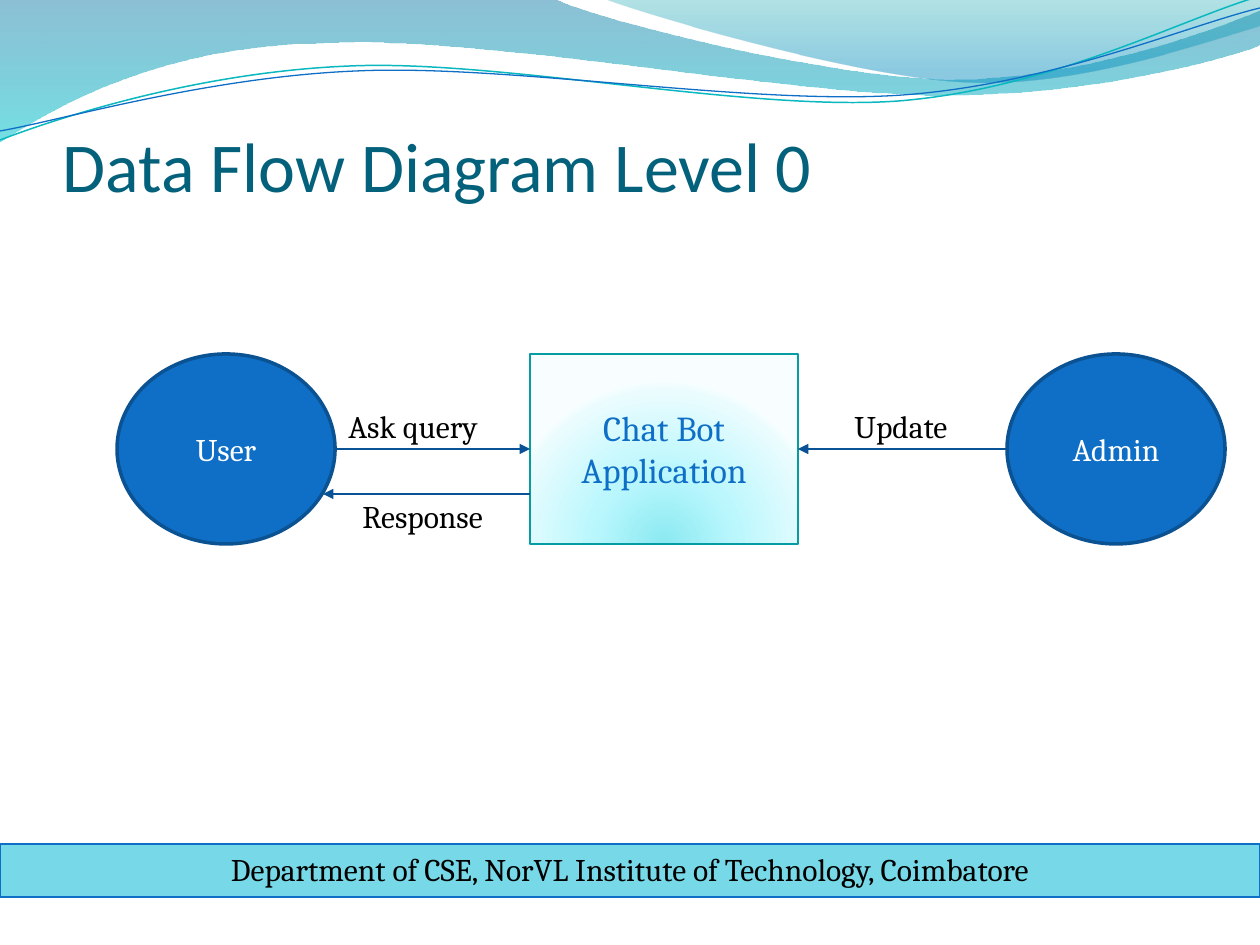
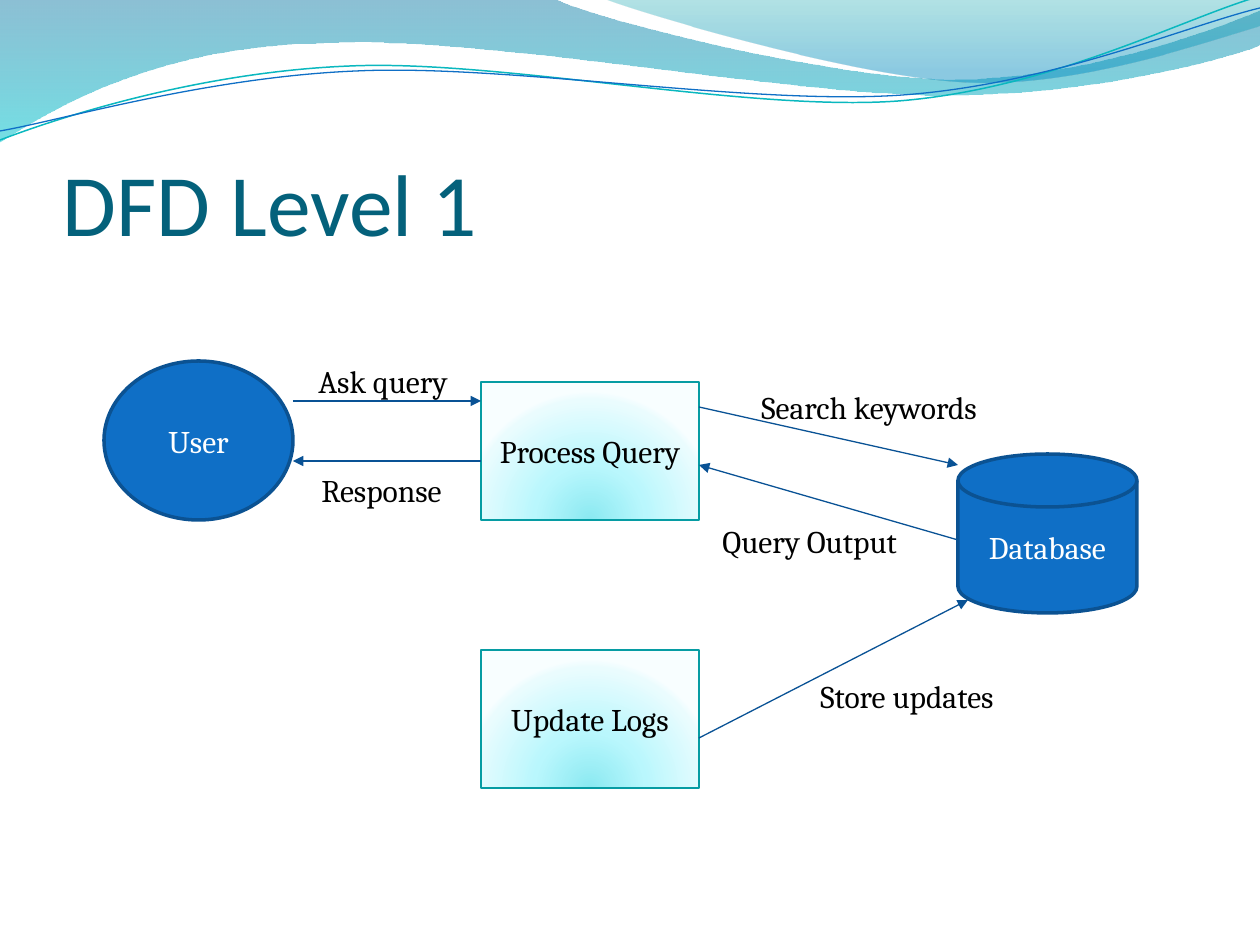
"""Build two data flow diagram slides for a chat bot."""
from lxml.etree import SubElement
from pptx import Presentation
from pptx.dml.color import RGBColor
from pptx.enum.shapes import MSO_CONNECTOR, MSO_SHAPE
from pptx.enum.text import MSO_ANCHOR, MSO_AUTO_SIZE, PP_ALIGN
from pptx.oxml.ns import qn
from pptx.util import Emu, Pt

SCALE = 914400 / 126
WIDE, HIGH = 1260, 945
HEAD, BODY = "Calibri", "Cambria"
BLUE, NAVY, TEAL, ARROW = "0F6FC6", "0B5292", "069CA3", "095295"
TITLE, BAND, BLACK, WHITE = "04617B", "77D9E8", "000000", "FFFFFF"

GLOW = [(0, "8BE9F1", 100), (43, "B9F7FD", 100),
        (93, "EAFCFE", 100), (100, "F8FEFF", 100)]
FOCUS = {"l": "50000", "t": "130000", "r": "50000", "b": "-30000"}

FILLS = [
    ([(0, 0), (554, -1), (600, 21, 837, 79, 955, 79),
      (1075, 79, 1207, 33, 1260, 11), (1261, 45),
      (1239, 55, 1096, 96, 940, 95), (784, 95, 481, 35, 324, 43),
      (163, 45, 58, 105, -1, 142)],
     [(0, "0074A1", 45), (100, "00C6CF", 55)]),
    ([(604, -1), (641, 14, 859, 78, 969, 82),
      (1079, 87, 1211, 40, 1260, 26), (1260, 0)],
     [(0, "00A1A9", 30), (80, "008BBF", 45)]),
]
LINES = [
    ([(0, 140), (60, 117, 199, 72, 349, 66), (498, 59, 747, 112, 898, 101),
      (1050, 89, 1182, 19, 1257, -3)], "0AB8BF", 0.85),
    ([(0, 131), (59, 121, 207, 77, 357, 71), (508, 64, 752, 106, 903, 95),
      (1053, 84, 1186, 26, 1260, 8)], BLUE, 0.75),
]

KINDS = {
    "actor": (MSO_SHAPE.OVAL, BLUE, NAVY, 2),
    "store": (MSO_SHAPE.FLOWCHART_MAGNETIC_DISK, BLUE, NAVY, 2),
    "task": (MSO_SHAPE.RECTANGLE, GLOW, TEAL, 0.75),
    "band": (MSO_SHAPE.RECTANGLE, BAND, BLUE, 0.75),
}

SLIDES = [
    {
        "title": ("Data Flow Diagram Level 0", 48, 40),
        "footer": "Department of CSE, NorVL Institute of Technology, Coimbatore",
        "nodes": [
            ("actor", "User", (117, 354, 218, 190), 18, WHITE),
            ("task", "Chat Bot Application", (530, 354, 268, 190), 20, BLUE),
            ("actor", "Admin", (1007, 354, 218, 190), 18, WHITE),
        ],
        "flows": [
            ((335, 449), (530, 449), ("Chat Bot Application", 1)),
            ((530, 494), (323, 494), None),
            ((1007, 449), (798, 449), ("Chat Bot Application", 3)),
        ],
        "labels": [
            ("Ask query", 336, 401, 166),
            ("Response", 350, 491, 159),
            ("Update", 842, 401, 136),
        ],
    },
    {
        "title": ("DFD Level 1", 96, 50),
        "footer": None,
        "nodes": [
            ("actor", "User", (104, 361, 189, 159), 18, WHITE),
            ("task", "Process Query", (481, 382, 218, 138), 18, BLACK),
            ("store", "Database", (958, 454, 179, 159), 18, WHITE),
            ("task", "Update Logs", (481, 650, 218, 138), 18, BLACK),
        ],
        "flows": [
            ((293, 401), (481, 401), None),
            ((481, 461), (293, 461), None),
            ((699, 407), (958, 465), None),
            ((958, 540), (699, 465), None),
            ((699, 738), (968, 600), None),
        ],
        "labels": [
            ("Ask query", 306, 356, 175),
            ("Response", 309, 465, 162),
            ("Search keywords", 749, 382, 258),
            ("Query Output", 710, 516, 258),
            ("Store updates", 808, 671, 218),
        ],
    },
]


def px(*nums):
    return [Emu(round(num * SCALE)) for num in nums]


def rgb(code):
    return RGBColor.from_string(code)


def add(node, tag, **attrs):
    return SubElement(node, qn(tag), attrs)


def blend(shape, stops, focus=None):
    shape.fill.solid()
    props = shape._element.spPr
    old = props.find(qn("a:solidFill"))
    grad = add(props, "a:gradFill", rotWithShape="1")
    props.replace(old, grad)
    group = add(grad, "a:gsLst")
    for pos, code, alpha in stops:
        color = add(add(group, "a:gs", pos=str(pos * 1000)), "a:srgbClr", val=code)
        if alpha < 100:
            add(color, "a:alpha", val=str(alpha * 1000))
    if focus:
        add(add(grad, "a:path", path="circle"), "a:fillToRect", **focus)
    else:
        add(grad, "a:lin", ang="5400000", scaled="1")


def curve(slide, steps, close):
    dots = [px(*step[at:at + 2]) for step in steps for at in range(0, len(step), 2)]
    pen = slide.shapes.build_freeform(*dots[0], scale=1.0)
    pen.add_line_segments(dots[1:], close=close)
    shape = pen.convert_to_shape()
    shape.shadow.inherit = False
    marks = iter(list(shape._element.iter(qn("a:lnTo"))))
    for step in steps[1:]:
        bend = next(marks)
        if len(step) == 6:
            bend.tag = qn("a:cubicBezTo")
            for mark in (next(marks), next(marks)):
                bend.append(mark[0])
                mark.getparent().remove(mark)
    return shape


def wave(slide):
    for steps, stops in FILLS:
        shape = curve(slide, steps, True)
        blend(shape, stops)
        shape.line.fill.background()
    for steps, code, width in LINES:
        shape = curve(slide, steps, False)
        shape.fill.background()
        edge(shape, code, width)


def edge(shape, code, width):
    shape.line.color.rgb = rgb(code)
    shape.line.width = Pt(width)


def write(shape, text, size, code, face=BODY, align=PP_ALIGN.LEFT, anchor=MSO_ANCHOR.TOP):
    frame = shape.text_frame
    frame.word_wrap = True
    frame.vertical_anchor = anchor
    para = frame.paragraphs[0]
    para.text = text
    para.alignment = align
    para.font.name = face
    para.font.size = Pt(size)
    para.font.color.rgb = rgb(code)
    return frame


def block(slide, kind, text, place, size, code, anchor=MSO_ANCHOR.MIDDLE):
    form, fill, line, width = KINDS[kind]
    shape = slide.shapes.add_shape(form, *px(*place))
    edge(shape, line, width)
    shape.shadow.inherit = False
    if kind == "task":
        blend(shape, fill, FOCUS)
    else:
        shape.fill.solid()
        shape.fill.fore_color.rgb = rgb(fill)
    write(shape, text, size, code, align=PP_ALIGN.CENTER, anchor=anchor)
    return shape


def flow(slide, start, end, join, nodes):
    line = slide.shapes.add_connector(MSO_CONNECTOR.STRAIGHT, *px(*start, *end))
    if join:
        name, side = join
        line.end_connect(nodes[name], side)
    edge(line, ARROW, 0.75)
    add(line.line._get_or_add_ln(), "a:tailEnd", type="triangle")
    add(line._element.spPr, "a:effectLst")


def label(slide, text, left, top, width):
    box = slide.shapes.add_textbox(*px(left, top, width, 50))
    write(box, text, 18, BLACK).auto_size = MSO_AUTO_SIZE.SHAPE_TO_FIT_TEXT


def title(slide, text, top, size):
    box = slide.shapes.add_textbox(*px(63, top, 1134, 158))
    frame = write(box, text, size, TITLE, HEAD, anchor=MSO_ANCHOR.BOTTOM)
    frame.margin_left = frame.margin_right = frame.margin_bottom = 0


def build(deck, data):
    slide = deck.slides.add_slide(deck.slide_layouts[6])
    wave(slide)
    title(slide, *data["title"])
    if data["footer"]:
        block(slide, "band", data["footer"], (0, 844, WIDE, 53), 18, BLACK, MSO_ANCHOR.TOP)
    nodes = {node[1]: block(slide, *node) for node in data["nodes"]}
    for start, end, join in data["flows"]:
        flow(slide, start, end, join, nodes)
    for item in data["labels"]:
        label(slide, *item)


def main():
    deck = Presentation()
    deck.slide_width, deck.slide_height = px(WIDE, HIGH)
    for data in SLIDES:
        build(deck, data)
    deck.save("out.pptx")


if __name__ == "__main__":
    main()
